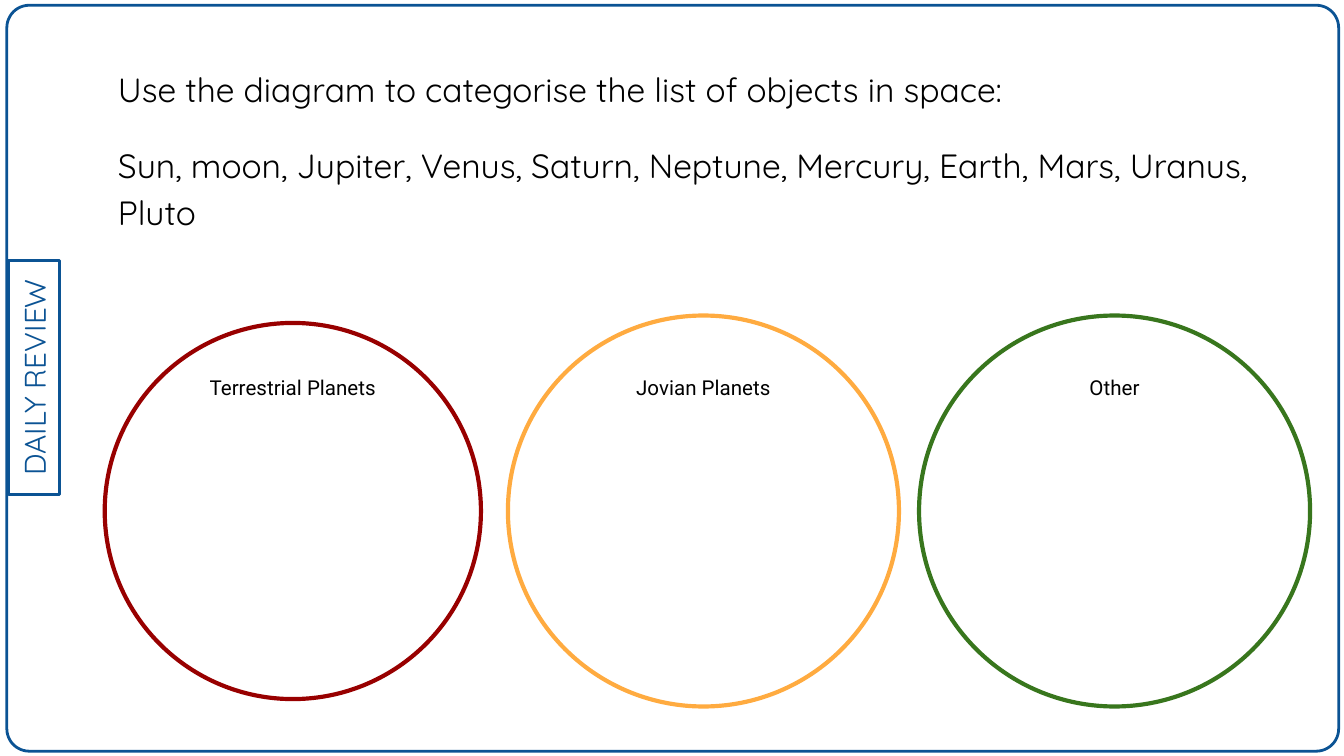
"""Build the daily review slide for sorting objects in space into three circles."""
from pptx import Presentation
from pptx.dml.color import RGBColor
from pptx.enum.shapes import MSO_SHAPE
from pptx.enum.text import MSO_ANCHOR, PP_ALIGN
from pptx.util import Cm, Pt

ROUNDED, RECTANGLE, OVAL = MSO_SHAPE.ROUNDED_RECTANGLE, MSO_SHAPE.RECTANGLE, MSO_SHAPE.OVAL
TOP, MIDDLE = MSO_ANCHOR.TOP, MSO_ANCHOR.MIDDLE
LEFT, CENTER = PP_ALIGN.LEFT, PP_ALIGN.CENTER

COLORS = {"blue": "0B5394", "red": "980000", "orange": "FFAB40", "green": "38761D", "black": "000000"}
TAB_TEXT = "DAILY REVIEW"
TASK = [
    "Use the diagram to categorise the list of objects in space:",
    "Sun, moon, Jupiter, Venus, Saturn, Neptune, Mercury, Earth, Mars, Uranus, Pluto",
]
CIRCLES = [
    ("Jovian Planets", "orange", 9.6, 7.39),
    ("Terrestrial Planets", "red", 1.98, 7.11),
    ("Other", "green", 17.37, 7.39),
]
CIRCLE_MIDDLE, LABEL_MIDDLE = 9.66, 7.29
LABEL_WIDTH, LABEL_HEIGHT = 0.58, 0.28


def add_outline(shapes, kind, box, color, width):
    shape = shapes.add_shape(kind, *map(Cm, box))
    shape.shadow.inherit = False
    shape.fill.background()
    shape.line.color.rgb = RGBColor.from_string(COLORS[color])
    shape.line.width = Pt(width)
    return shape


def write(shape, lines, font, size, color, align=CENTER, anchor=MIDDLE, spacing=1.15):
    frame = shape.text_frame
    frame.word_wrap = True
    frame.vertical_anchor = anchor
    frame.margin_left = frame.margin_right = frame.margin_top = frame.margin_bottom = Cm(0.25)
    for index, line in enumerate(lines):
        paragraph = frame.add_paragraph() if index else frame.paragraphs[0]
        paragraph.text = line
        paragraph.alignment = align
        paragraph.line_spacing = spacing
        if index:
            paragraph.space_before = paragraph.space_after = Pt(16)
        paragraph.font.name = font
        paragraph.font.size = Pt(size)
        paragraph.font.color.rgb = RGBColor.from_string(COLORS[color])


def add_circle(slide, label, color, left, diameter):
    group = slide.shapes.add_group_shape()
    top = CIRCLE_MIDDLE - diameter / 2
    add_outline(group.shapes, OVAL, (left, top, diameter, diameter), color, 2.25)
    width, height = diameter * LABEL_WIDTH, diameter * LABEL_HEIGHT
    box = (left + (diameter - width) / 2, LABEL_MIDDLE - height / 2, width, height)
    write(group.shapes.add_textbox(*map(Cm, box)), [label], "Roboto", 11, "black")


def main():
    presentation = Presentation()
    presentation.slide_width, presentation.slide_height = Cm(25.4), Cm(14.29)
    slide = presentation.slides.add_slide(presentation.slide_layouts[6])

    frame = add_outline(slide.shapes, ROUNDED, (0.13, 0.1, 25.17, 14.1), "blue", 1.5)
    frame.adjustments[0] = 0.03
    tab = add_outline(slide.shapes, RECTANGLE, (-1.57, 6.65, 4.42, 0.97), "blue", 1.5)
    tab.rotation = 270
    write(tab, [TAB_TEXT], "Quicksand", 16, "blue", spacing=1.0)

    task = slide.shapes.add_textbox(Cm(1.98), Cm(0.94), Cm(22.58), Cm(11.38))
    write(task, TASK, "Quicksand", 18, "black", LEFT, TOP)
    for circle in CIRCLES:
        add_circle(slide, *circle)
    presentation.save("out.pptx")


if __name__ == "__main__":
    main()
